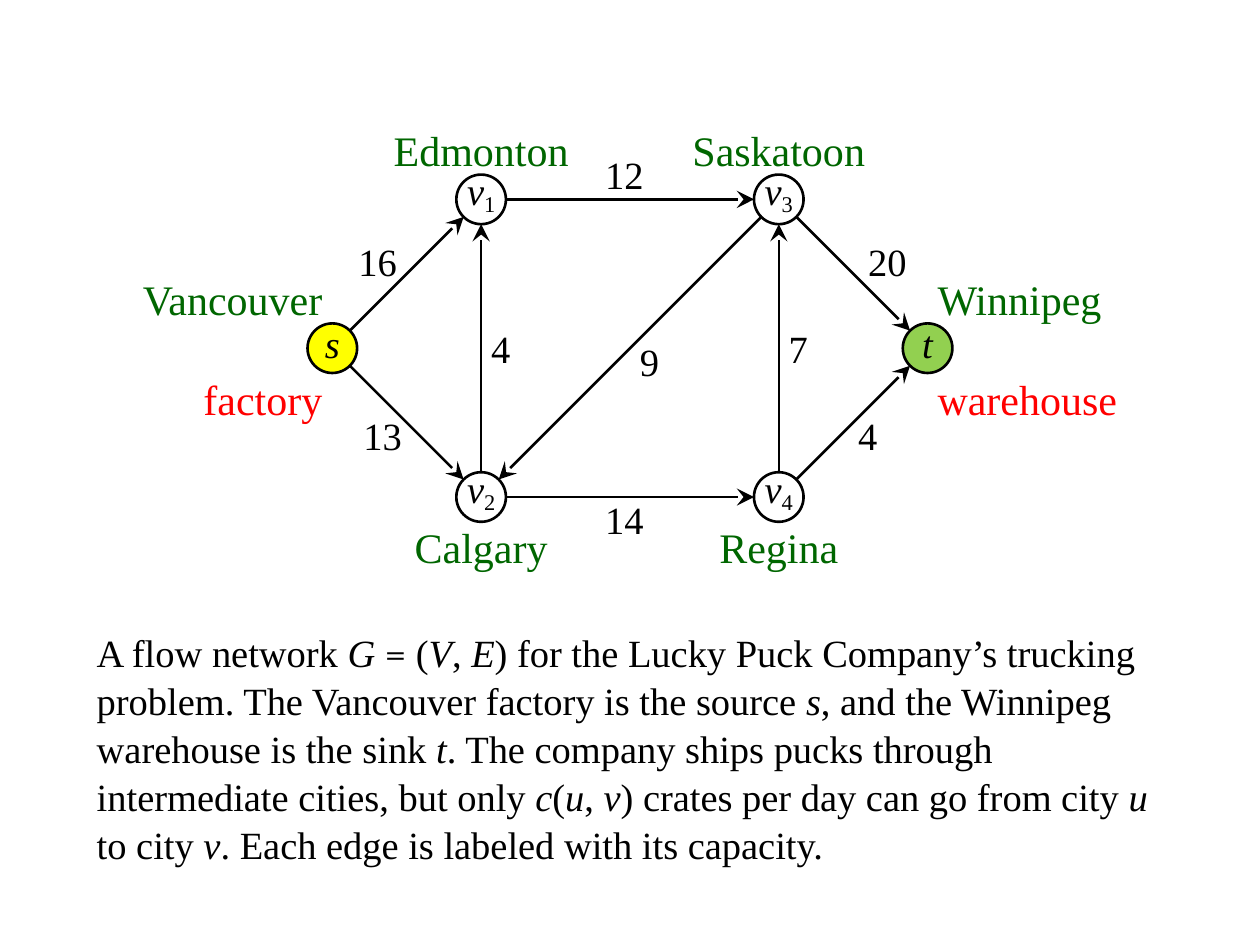
import pptx
import pptx.util
import pptx.dml.color
import pptx.enum.shapes
import pptx.enum.text
import math
from lxml import etree

Cm = pptx.util.Cm
Pt = pptx.util.Pt
ALIGN = pptx.enum.text.PP_ALIGN
ANCHOR = pptx.enum.text.MSO_ANCHOR
COLORS = {"ink": "000000", "paper": "FFFFFF", "city": "006600",
          "role": "FF0000", "source": "FFFF00", "sink": "92D050"}
RADIUS = 0.5
STEP = 3
LEFT, MIDDLE = 6.7, 7.02
NODES = {name: (LEFT + column * STEP, MIDDLE + row * STEP)
         for name, column, row in [("s", 0, 0), ("v1", 1, -1), ("v2", 1, 1),
                                   ("v3", 3, -1), ("v4", 3, 1), ("t", 4, 0)]}
FILLS = {"s": "source", "t": "sink"}
EDGES = [("s", "v1"), ("v1", "v3"), ("v3", "v2"), ("v2", "v4"), ("v2", "v1"),
         ("v3", "t"), ("v4", "v3"), ("s", "v2"), ("v4", "t")]

# Each label: text, reference node, offset, size, alignment, insets
PLACES = [
    ("Vancouver", "city", "s", (-4, -1.5), 4, ALIGN.RIGHT, (0, 0, 0.2, 0)),
    ("Calgary", "city", "v2", (-2, 0.5), 4, ALIGN.CENTER, (0.25, 0, 0.25, 0)),
    ("Edmonton", "city", "v1", (-2, -1.5), 4, ALIGN.CENTER, (0.25, 0, 0.25, 0)),
    ("Regina", "city", "v4", (-1.5, 0.5), 3, ALIGN.CENTER, (0.25, 0, 0.25, 0)),
    ("Saskatoon", "city", "v3", (-2, -1.5), 4, ALIGN.CENTER, (0.25, 0, 0.25, 0)),
    ("Winnipeg", "city", "t", (0, -1.5), 4, ALIGN.LEFT, (0.2, 0, 0, 0)),
    ("factory", "role", "s", (-3, 0.5), 3, ALIGN.RIGHT, (0, 0, 0.2, 0)),
    ("warehouse", "role", "t", (0, 0.5), 4, ALIGN.LEFT, (0.2, 0, 0, 0)),
]
CAPACITIES = [
    ("16", "s", (0, -2.5), 1.5, ALIGN.RIGHT, (0, 0, 0.2, 0)),
    ("12", "v1", (2.5, -1), 1, ALIGN.LEFT, (0, 0, 0, 0)),
    ("13", "s", (0, 1), 1.5, ALIGN.RIGHT, (0, 0, 0.1, 0)),
    ("20", "t", (-1.5, -2.5), 1.5, ALIGN.LEFT, (0.3, 0, 0, 0)),
    ("14", "v2", (2.5, 0), 1, ALIGN.LEFT, (0, 0, 0, 0.1)),
    ("4", "t", (-1.5, 1), 1.5, ALIGN.LEFT, (0.1, 0, 0, 0)),
    ("9", "v1", (3, 2.5), 1.5, ALIGN.LEFT, (0.2, 0, 0, 0)),
    ("4", "v1", (0, 2.5), 1, ALIGN.LEFT, (0.2, 0, 0, 0)),
    ("7", "v3", (0, 2.5), 1, ALIGN.LEFT, (0.2, 0, 0, 0)),
]
CAPTION = [
    ("A flow network ", False), ("G ", True), ("=", False), (" (", False),
    ("V", True), (", ", False), ("E", True),
    (") for the Lucky Puck Company’s trucking problem. "
     "The Vancouver factory is the source ", False),
    ("s", True), (", and the Winnipeg warehouse is the sink ", False),
    ("t", True),
    (". The company ships pucks through intermediate cities, but only ", False),
    ("c", True), ("(", False), ("u", True), (", ", False), ("v", True),
    (") crates per day can go from city ", False), ("u", True),
    (" to city ", False), ("v", True),
    (". Each edge is labeled with its capacity.", False),
]


def color(name):
    return pptx.dml.color.RGBColor.from_string(COLORS[name])


class NetworkSlide:
    font = "Times New Roman"
    math_font = "Cambria"
    size = 22
    line_width = 1.5

    def __init__(self, page):
        self.page = page

    def span(self, para, text, italic=False, size=None, ink="ink", font=None):
        span = para.add_run()
        span.text = text
        span.font.name = font or self.font
        span.font.size = Pt(size or self.size)
        span.font.italic = italic
        span.font.color.rgb = color(ink)
        return span

    def frame(self, box, anchor, insets, wrap):
        frame = box.text_frame
        frame.word_wrap = wrap
        frame.auto_size = pptx.enum.text.MSO_AUTO_SIZE.NONE
        frame.vertical_anchor = anchor
        (frame.margin_left, frame.margin_top,
         frame.margin_right, frame.margin_bottom) = [Cm(inset) for inset in insets]
        return frame.paragraphs[0]

    def caption(self, left, top, width, height, spans):
        box = self.page.placeholders[1]
        box.left, box.top, box.width, box.height = map(Cm, (left, top, width, height))
        para = self.frame(box, ANCHOR.TOP, (0.25, 0.13, 0.25, 0.13), True)
        properties = para._p.get_or_add_pPr()
        properties.set("marL", "0")
        properties.set("indent", "0")
        etree.SubElement(properties, pptx.oxml.ns.qn("a:buNone"))
        para.space_before = Pt(0)
        para.line_spacing = 1.04
        for text, italic in spans:
            self.span(para, text, italic,
                      font=self.math_font if text == "=" else None)

    def label(self, text, node, offset, width, height, align, insets,
              ink="ink", size=None, anchor=ANCHOR.MIDDLE):
        x, y = NODES[node]
        box = self.page.shapes.add_textbox(
            Cm(x + offset[0]), Cm(y + offset[1]), Cm(width), Cm(height))
        para = self.frame(box, anchor, insets, False)
        para.alignment = align
        self.span(para, text, size=size, ink=ink)

    def node(self, name):
        x, y = NODES[name]
        circle = self.page.shapes.add_shape(
            pptx.enum.shapes.MSO_SHAPE.OVAL, Cm(x - RADIUS), Cm(y - RADIUS),
            Cm(2 * RADIUS), Cm(2 * RADIUS))
        circle.shadow.inherit = False
        circle.fill.solid()
        circle.fill.fore_color.rgb = color(FILLS.get(name, "paper"))
        circle.line.color.rgb = color("ink")
        circle.line.width = Pt(self.line_width)
        sink = name == "t"
        para = self.frame(circle, ANCHOR.MIDDLE if sink else ANCHOR.BOTTOM,
                          (0, 0, 0, 0.2 if sink else 0), True)
        para.alignment = ALIGN.CENTER
        self.span(para, name[0], italic=True)
        if name[1:]:
            index = self.span(para, name[1:])
            index._r.get_or_add_rPr().set("baseline", "-18000")

    def edge(self, start, end):
        (x1, y1), (x2, y2) = NODES[start], NODES[end]
        angle = math.atan2(y2 - y1, x2 - x1)
        dx, dy = RADIUS * math.cos(angle), RADIUS * math.sin(angle)
        arrow = self.page.shapes.add_connector(
            pptx.enum.shapes.MSO_CONNECTOR.STRAIGHT,
            Cm(x1 + dx), Cm(y1 + dy), Cm(x2 - dx), Cm(y2 - dy))
        arrow.line.color.rgb = color("ink")
        arrow.line.width = Pt(self.line_width)
        qn = pptx.oxml.ns.qn
        etree.SubElement(arrow.line._get_or_add_ln(), qn("a:tailEnd"),
                         type="stealth", w="lg", len="lg")
        etree.SubElement(arrow._element.spPr, qn("a:effectLst"))


def main():
    deck = pptx.Presentation()
    deck.slide_width, deck.slide_height = Cm(25.4), Cm(19.05)
    page = deck.slides.add_slide(deck.slide_layouts[1])
    title = page.shapes.title._element
    title.getparent().remove(title)
    network = NetworkSlide(page)
    network.caption(1.7, 12.52, 22, 5, CAPTION)
    for text, ink, node, offset, width, align, insets in PLACES:
        network.label(text, node, offset, width, 1, align, insets,
                      ink, 24, ANCHOR.TOP)
    for text, node, offset, side, align, insets in CAPACITIES:
        network.label(text, node, offset, side, side, align, insets)
    for name in NODES:
        network.node(name)
    for start, end in EDGES:
        network.edge(start, end)
    deck.save("out.pptx")


if __name__ == "__main__":
    main()
